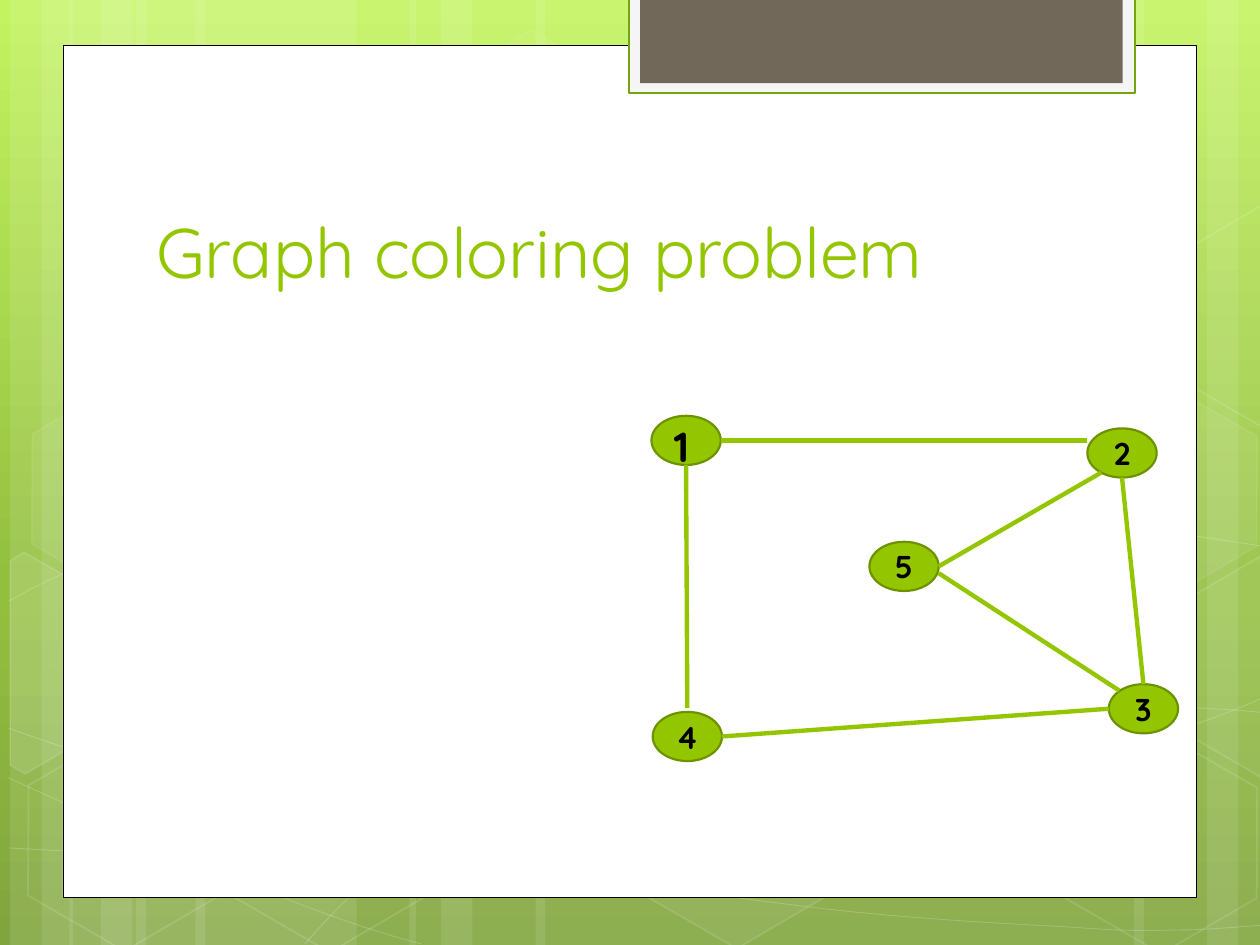
"""Build the "Graph coloring problem" slide: a five-node graph on a white page over a green backdrop."""
from copy import deepcopy
from math import cos, radians, sin
from lxml import etree
from pptx import Presentation, util as u
from pptx.dml.color import RGBColor
from pptx.enum import shapes as kinds, text as styles
from pptx.oxml.ns import qn

THEME = {
    "font": "Quicksand", "title": 40, "node": 18, "first_node": 24,
    "green": "94C600", "outline": "6D9200", "white": "FFFFFF", "ink": "000000",
    "tab": "F5F5F5", "tab_edge": "74A510", "tab_core": "71685A",
    "backdrop": [("C3F35F", 0), ("93BF3F", 0.62), ("81A53E", 1)],
}
TITLE = ("Graph coloring problem", (1.14, 1.12, 7.68, 1.25))

NODE_SIZE = (0.55, 0.39)
NODES = {"1": (5.17, 3.3), "2": (8.63, 3.4), "3": (8.8, 5.43), "4": (5.18, 5.65), "5": (6.9, 4.3)}
FIRST_LABEL = (5.25, 3.29, 0.39, 0.5)
LEVEL_WITH_1 = 0.5 - (NODES["2"][1] - NODES["1"][1]) / NODE_SIZE[1]
EDGES = [
    (("1", 1, 0.5), ("2", 0, LEVEL_WITH_1)),
    (("2", 0.5, 1), ("3", 0.5, 0)),
    (("3", 0, 0.5), ("4", 1, 0.5)),
    (("4", 0.5, -0.08), ("1", 0.5, 1)),
    (("2", 0.2, 0.9), ("5", 1, 0.5)),
    (("3", 0.15, 0.13), ("5", 1, 0.64)),
]

TILT = 30
BARS = [(1.08, 1.75), (0.08, 0.5), (0.33, 0.83), (1.55, 1.75), (0.55, 0.5), (0.8, 0.83),
        (7.33, 1.75), (9.58, 0.5), (9, 0.83), (4.25, 3.08), (3.25, 0.5), (3.5, 0.83)]
WAVES = [
    [(0.07, 6.73), (0.61, 6.76), (1.15, 6.79), (1.9, 6.78), (2.65, 6.77), (3.58, 6.75), (4.58, 6.65),
     (5.58, 6.55), (7, 6.36), (7.92, 6.17), (8.83, 5.98), (9.77, 5.68), (10.07, 5.51)],
    [(0.07, 4.77), (0.36, 4.61), (0.65, 4.46), (1.21, 4.31), (1.78, 4.16), (2.59, 3.94), (3.47, 3.87),
     (4.36, 3.8), (5.44, 3.79), (6.54, 3.87), (7.64, 3.95), (9.47, 4.26), (10.07, 4.34)],
    [(0.06, 6.17), (1.27, 6.72), (2.47, 7.27), (3.34, 7.49)],
    [(0.07, 5.78), (0.38, 5.89), (0.7, 6), (1.28, 6.16), (1.86, 6.31), (2.73, 6.56), (3.57, 6.73),
     (4.4, 6.9), (5.45, 7.08), (6.28, 7.18), (7.11, 7.29), (8, 7.33), (8.53, 7.36),
     (9.05, 7.4), (9.19, 7.38), (9.45, 7.38), (9.71, 7.37), (9.89, 7.35), (10.07, 7.34)],
    [(2.42, 7.49), (2.6, 7.29), (2.78, 7.09), (3.02, 6.91), (3.26, 6.73), (3.6, 6.53), (3.88, 6.39),
     (4.16, 6.25), (4.33, 6.19), (4.7, 6.09), (5.06, 5.99), (5.73, 5.85), (6.08, 5.78),
     (6.44, 5.71), (6.49, 5.71), (6.8, 5.69), (7.11, 5.66), (7.6, 5.63), (7.94, 5.62),
     (8.29, 5.61), (8.86, 5.62), (8.86, 5.62), (8.86, 5.62), (9.53, 5.62), (9.53, 5.62),
     (9.71, 5.63), (9.88, 5.64), (9.97, 5.65), (10.06, 5.66), (10.03, 5.65), (10.06, 5.66)],
]
HEXAGONS = [(3.34, 0.36, 4, 8), (4.97, 5.89, 6, 12), (0.11, 5.91, 0, 12), (0.14, 3.12, 7, 8),
            (1.74, 5.92, 0, 12), (7.53, 4.53, 10, 12), (8.34, 5.93, 0, 12), (8.34, 3.14, 7, 8)]
CUT_HEXAGONS = [
    ((0.36, 5.35), 10,
     [(0.08, 4.45), (0.19, 4.38), (0.96, 4.82), (0.95, 5.7), (0.2, 6.14), (0.08, 6.07)]),
    ((9.85, 5.2), 4,
     [(9.26, 4.85), (10.01, 4.41), (10.09, 4.46), (10.09, 6.13), (10.02, 6.17), (9.26, 5.73)]),
    ((9.85, 2.41), 0,
     [(9.26, 2.07), (10.01, 1.63), (10.1, 1.68), (10.09, 3.35), (10.02, 3.39), (9.26, 2.95)]),
]
PANELS = [((0.5, 0.36, 9, 6.76), "white", ("ink", 0.5)),
          ((4.99, -0.02, 4.02, 0.76), "tab", ("tab_edge", 1.25)),
          ((5.08, -0.02, 3.83, 0.68), "tab_core", None)]


def cm(*inches):
    return [u.Cm(2.54 * value) for value in inches]


def colour(fill, name, opacity=100):
    if not opacity:
        fill.background()
        return
    fill.solid()
    fill.fore_color.rgb = RGBColor.from_string(THEME[name])
    if opacity < 100:
        solid = fill._xPr.find(qn("a:solidFill"))
        etree.SubElement(solid[0], qn("a:alpha"), val=str(opacity * 1000))


def paint(part, fill, edge=None, opacity=100, edge_opacity=100):
    part.shadow.inherit = False
    colour(part.fill, fill, opacity)
    if edge:
        colour(part.line.fill, edge[0], edge_opacity)
        part.line.width = u.Pt(edge[1])
    else:
        part.line.fill.background()


def write(frame, words, size, ink, bold=False, align=styles.PP_ALIGN.LEFT):
    frame.text = words
    paragraph = frame.paragraphs[0]
    paragraph.alignment = align
    font = paragraph.runs[0].font
    font.name, font.size, font.bold = THEME["font"], u.Pt(THEME[size]), bold
    font.color.rgb = RGBColor.from_string(THEME[ink])


def outline(slide, points, closed):
    start, *rest = [cm(*point) for point in points]
    builder = slide.shapes.build_freeform(*start, scale=1.0)
    builder.add_line_segments(rest, close=closed)
    return builder.convert_to_shape()


def draw_wave(slide, controls):
    wave = outline(slide, controls, False)
    outline_path = next(wave.element.iter(qn("a:path")))
    lines = outline_path.findall(qn("a:lnTo"))
    for i in range(0, len(lines), 3):
        first, second, last = lines[i:i + 3]
        straight = controls[i] == controls[i + 1] and controls[i + 2] == controls[i + 3]
        if not straight:
            curve = etree.SubElement(outline_path, qn("a:cubicBezTo"))
            first.addprevious(curve)
            curve.extend([first[0], second[0], last[0]])
            outline_path.remove(last)
        outline_path.remove(first)
        outline_path.remove(second)
    return wave


def untilt(point, centre):
    x, y = point[0] - centre[0], point[1] - centre[1]
    c, s = cos(radians(TILT)), sin(radians(TILT))
    return centre[0] + x * c + y * s, centre[1] + y * c - x * s


def draw_backdrop(slide):
    fill = slide.background.fill
    fill.gradient()
    fill.gradient_angle = 270
    stops = next(slide.element.iter(qn("a:gsLst")))
    stops.insert(1, deepcopy(stops[0]))
    for stop, (shade, position) in zip(fill.gradient_stops, THEME["backdrop"]):
        stop.color.rgb = RGBColor.from_string(shade)
        stop.position = position
    add = slide.shapes.add_shape
    for left, width in BARS:
        paint(add(kinds.MSO_SHAPE.RECTANGLE, *cm(left, 0, width, 7.5)), "white", opacity=10)
    for controls in WAVES:
        paint(draw_wave(slide, controls), "white", ("white", 0.5), 0, 20)
    for left, top, opacity, edge_opacity in HEXAGONS:
        hexagon = add(kinds.MSO_SHAPE.HEXAGON, *cm(left, top, 1.75, 1.52))
        hexagon.adjustments[0] = 0.285
        hexagon.rotation = TILT
        paint(hexagon, "white", ("white", 1), opacity, edge_opacity)
    for centre, opacity, corners in CUT_HEXAGONS:
        cut = outline(slide, [untilt(corner, centre) for corner in corners], True)
        cut.rotation = TILT
        paint(cut, "white", ("white", 1), opacity, 12)
    for box, fill_name, edge in PANELS:
        paint(add(kinds.MSO_SHAPE.RECTANGLE, *cm(*box)), fill_name, edge)


def place_title(slide):
    words, box = TITLE
    title = slide.shapes.title
    title.element.getparent().append(title.element)
    title.left, title.top, title.width, title.height = cm(*box)
    frame = title.text_frame
    write(frame, words, "title", "green")
    frame.auto_size = styles.MSO_AUTO_SIZE.NONE
    frame.vertical_anchor = styles.MSO_ANCHOR.BOTTOM


def node_point(node, across, down):
    left, top = NODES[node]
    return cm(left + across * NODE_SIZE[0], top + down * NODE_SIZE[1])


def draw_graph(slide):
    for label, corner in NODES.items():
        node = slide.shapes.add_shape(kinds.MSO_SHAPE.OVAL, *cm(*corner, *NODE_SIZE))
        paint(node, "green", ("outline", 1.25))
        if label != "1":
            write(node.text_frame, label, "node", "ink", True, styles.PP_ALIGN.CENTER)
            node.text_frame.vertical_anchor = styles.MSO_ANCHOR.MIDDLE
    for start, end in EDGES:
        edge = slide.shapes.add_connector(kinds.MSO_CONNECTOR.STRAIGHT,
                                          *node_point(*start), *node_point(*end))
        colour(edge.line.fill, "green")
        edge.line.width = u.Pt(2.5)
        etree.SubElement(edge.element.spPr, qn("a:effectLst"))
    first = slide.shapes.add_textbox(*cm(*FIRST_LABEL)).text_frame
    write(first, "1", "first_node", "ink", True)
    first.word_wrap = False
    first.auto_size = styles.MSO_AUTO_SIZE.SHAPE_TO_FIT_TEXT


def main():
    deck = Presentation()
    deck.slide_width, deck.slide_height = cm(10, 7.5)
    slide = deck.slides.add_slide(deck.slide_layouts[5])
    draw_backdrop(slide)
    place_title(slide)
    draw_graph(slide)
    deck.save("out.pptx")


if __name__ == "__main__":
    main()
